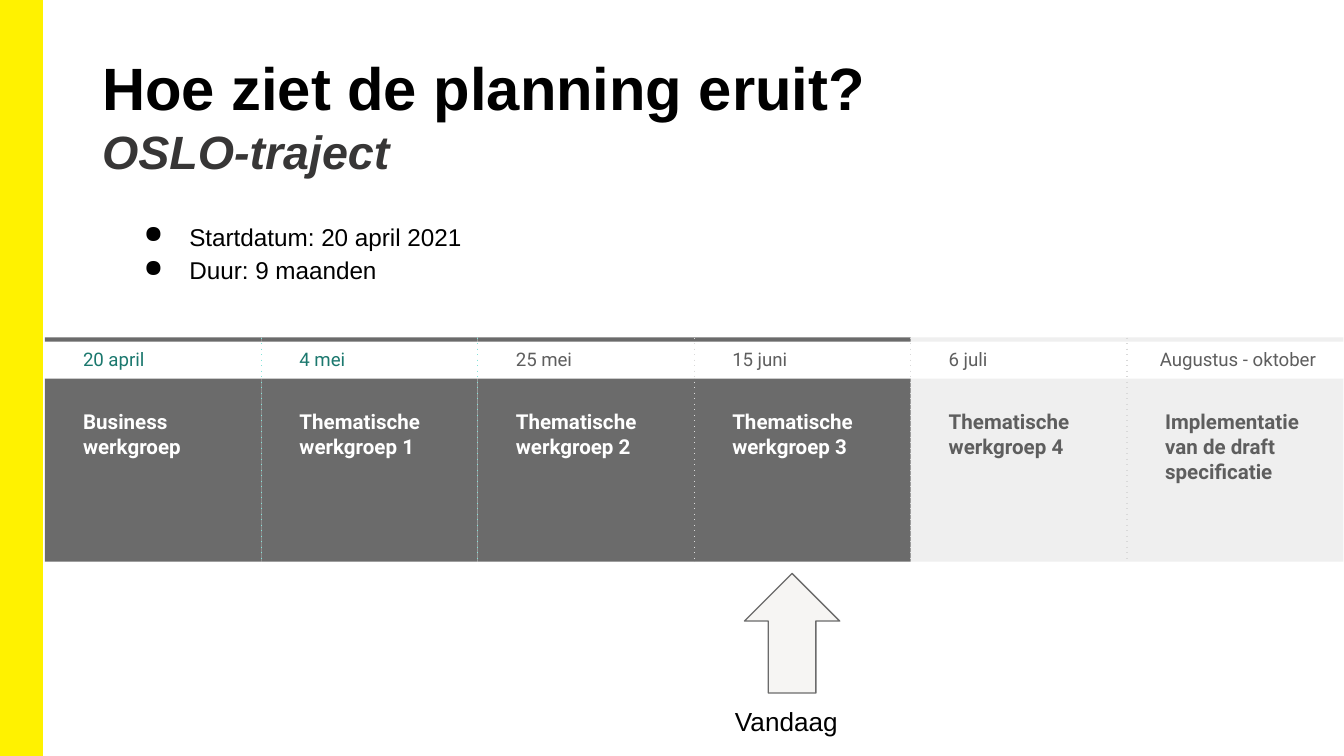
from pptx import Presentation
from pptx.dml.color import RGBColor
from pptx.enum.dml import MSO_LINE
from pptx.enum.shapes import MSO_CONNECTOR, MSO_SHAPE
from pptx.oxml.ns import qn
from pptx.util import Cm, Pt
from lxml import etree

RECT, UP_ARROW = MSO_SHAPE.RECTANGLE, MSO_SHAPE.UP_ARROW
STRAIGHT, DOTTED = MSO_CONNECTOR.STRAIGHT, MSO_LINE.ROUND_DOT

YELLOW = RGBColor(0xFF, 0xF2, 0x00)
BLACK = RGBColor(0x00, 0x00, 0x00)
WHITE = RGBColor(0xFF, 0xFF, 0xFF)
CHARCOAL = RGBColor(0x37, 0x36, 0x36)
DARK_GREY = RGBColor(0x6B, 0x6B, 0x6B)
TEXT_GREY = RGBColor(0x5E, 0x5E, 0x5E)
LIGHT_GREY = RGBColor(0xEF, 0xEF, 0xEF)
DOT_GREY = RGBColor(0xD9, 0xD9, 0xD9)
TEAL = RGBColor(0x1B, 0x78, 0x6E)
MINT = RGBColor(0x83, 0xE3, 0xD9)
OFF_WHITE = RGBColor(0xF6, 0xF5, 0xF3)

prs = Presentation()
prs.slide_width, prs.slide_height = Cm(25.4), Cm(14.29)
slide = prs.slides.add_slide(prs.slide_layouts[6])
shapes = slide.shapes


def add_block(kind, left, top, width, height, fill, line=None, weight=1):
    block = shapes.add_shape(kind, Cm(left), Cm(top), Cm(width), Cm(height))
    block.shadow.inherit = False
    block.fill.solid()
    block.fill.fore_color.rgb = fill
    if line is None:
        block.line.fill.background()
    else:
        block.line.color.rgb = line
        block.line.width = Pt(weight)


def add_text(left, top, width, height, lines, font="Arial", inset=(0.25, 0.25)):
    """Each line is (text, size, colour, bold, italic); returns the paragraphs."""
    frame = shapes.add_textbox(Cm(left), Cm(top), Cm(width), Cm(height)).text_frame
    frame.word_wrap = True
    frame.margin_left = frame.margin_right = Cm(inset[0])
    frame.margin_top = frame.margin_bottom = Cm(inset[1])
    for i, (text, size, colour, bold, italic) in enumerate(lines):
        paragraph = frame.add_paragraph() if i else frame.paragraphs[0]
        run = paragraph.add_run()
        run.text = text
        run.font.name, run.font.size = font, Pt(size)
        run.font.bold, run.font.italic = bold, italic
        run.font.color.rgb = colour
    return frame.paragraphs


# Yellow side band
add_block(RECT, 0, 0, 0.79, 14.29, YELLOW, YELLOW)

# Title and subtitle
add_text(1.75, 0.76, 21.9, 2.06, [
    ("Hoe ziet de planning eruit?", 32, BLACK, True, False),
    ("OSLO-traject", 25, CHARCOAL, True, True),
], inset=(0.18, 0.2))

# Key facts
facts = add_text(2.06, 3.86, 20.78, 1.7, [
    ("Startdatum: 20 april 2021", 13, BLACK, False, False),
    ("Duur: 9 maanden", 13, BLACK, False, False),
])
for fact in facts:
    fact.line_spacing = 1.15
    props = fact._p.get_or_add_pPr()
    props.set("marL", str(Cm(1.27)))
    props.set("indent", str(Cm(-0.86)))
    bullet_colour = etree.SubElement(props, qn("a:buClr"))
    etree.SubElement(bullet_colour, qn("a:srgbClr"), val=str(BLACK))
    etree.SubElement(props, qn("a:buChar"), char="●")

# Timeline: date, phase, date colour, phase colour, fill, divider on the right
phases = [
    ("20 april", "Business werkgroep", TEAL, WHITE, DARK_GREY, MINT),
    ("4 mei", "Thematische werkgroep 1", TEAL, WHITE, DARK_GREY, MINT),
    ("25 mei", "Thematische werkgroep 2", TEXT_GREY, WHITE, DARK_GREY, DOT_GREY),
    ("15 juni", "Thematische werkgroep 3", TEXT_GREY, WHITE, DARK_GREY, DOT_GREY),
    ("6 juli", "Thematische werkgroep 4", TEXT_GREY, TEXT_GREY, LIGHT_GREY, DOT_GREY),
    ("Augustus - oktober", "Implementatie van de draft specificatie",
     TEXT_GREY, TEXT_GREY, LIGHT_GREY, None),
]
START, STEP = 0.85, 4.09
BAR_TOP, BODY_TOP, BODY_HEIGHT = 6.38, 7.16, 3.46

# From right to left, so that each divider lies over the next phase
for i, (date, phase, date_colour, phase_colour, fill, divider) in reversed(
        list(enumerate(phases))):
    left = START + i * STEP
    add_block(RECT, left, BODY_TOP, STEP, BODY_HEIGHT, fill)
    add_block(RECT, left, BAR_TOP, STEP, 0.08, fill)
    add_text(left + 0.47, 7.49, 3.15, 1.02,
             [(phase, 11, phase_colour, True, False)], "Roboto")
    date_left, date_width = (0.47, 2.34) if divider else (0.37, 3.63)
    date_line = add_text(left + date_left, BAR_TOP, date_width, 0.38,
                         [(date, 10, date_colour, False, False)], "Roboto")[0]
    date_line.line_spacing = 1.15
    date_line.space_after = Pt(16)
    if divider:
        edge = Cm(left + STEP)
        dots = shapes.add_connector(STRAIGHT, edge, Cm(BAR_TOP),
                                    edge, Cm(BODY_TOP + BODY_HEIGHT))
        dots.line.color.rgb = divider
        dots.line.width = Pt(0.75)
        dots.line.dash_style = DOTTED
        dots.element.spPr.find(".//" + qn("a:prstDash")).set("val", "dot")
        etree.SubElement(dots.element.spPr, qn("a:effectLst"))

# Marker for today
add_block(UP_ARROW, 14.07, 10.84, 1.8, 2.26, OFF_WHITE, DARK_GREY, 0.75)
add_text(13.64, 13.08, 4.27, 1.12, [("Vandaag", 14, BLACK, False, False)])

prs.save("out.pptx")
